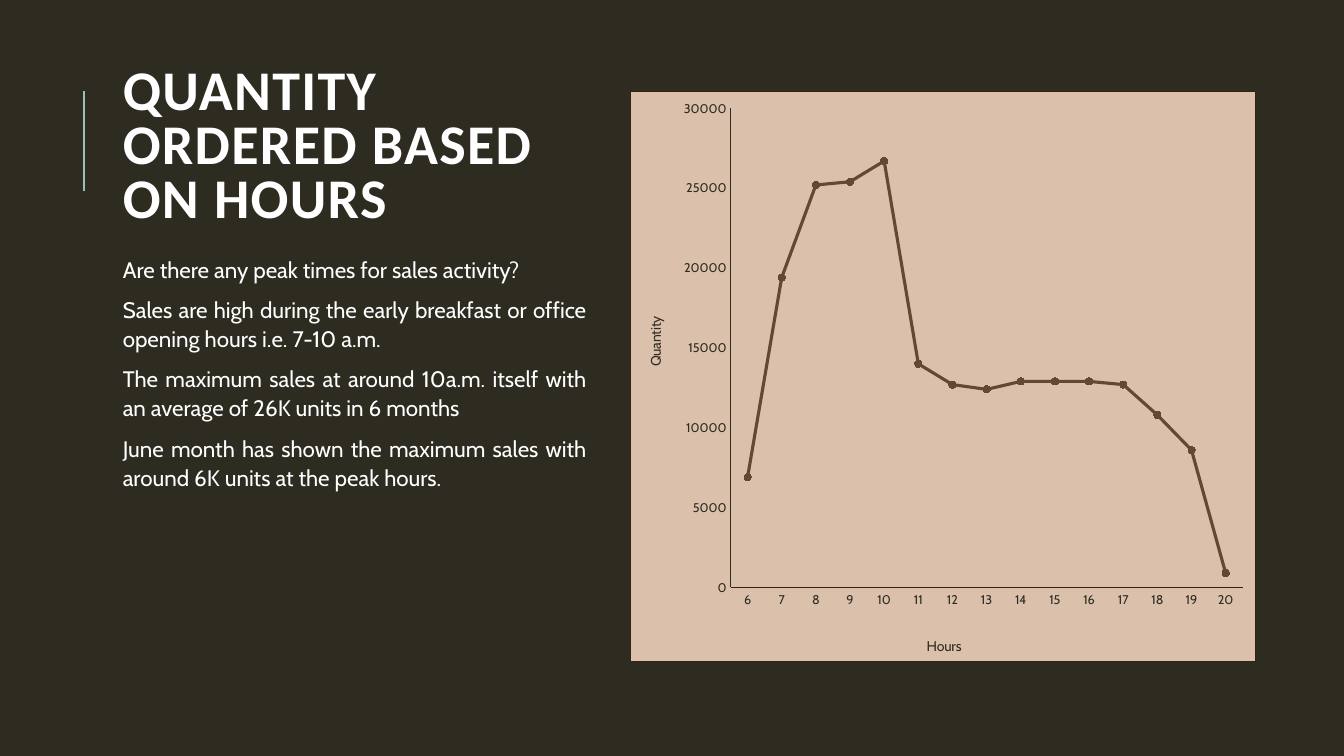
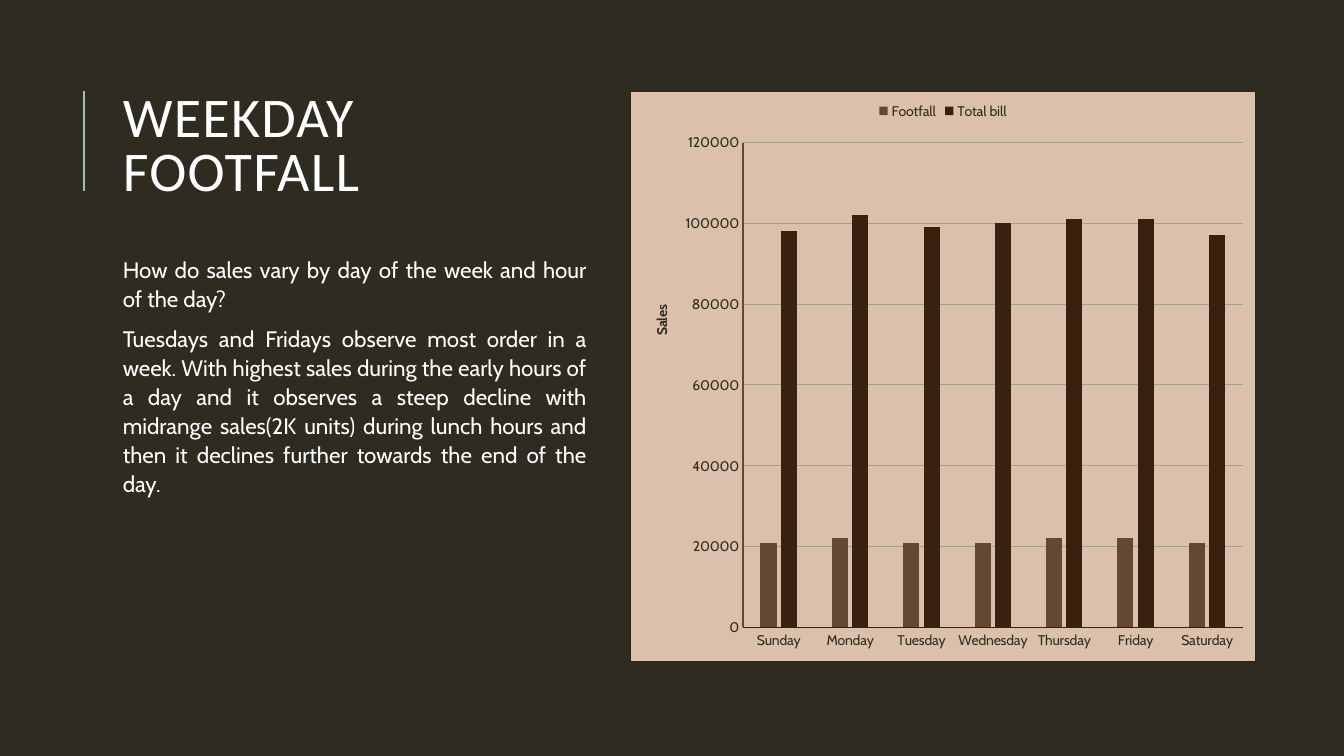
from dataclasses import dataclass

from lxml import etree
from pptx import Presentation
from pptx.chart.data import CategoryChartData
from pptx.dml.color import RGBColor
from pptx.enum.chart import XL_CHART_TYPE, XL_LEGEND_POSITION, XL_MARKER_STYLE, XL_TICK_MARK
from pptx.enum.shapes import MSO_CONNECTOR
from pptx.enum.text import MSO_ANCHOR, PP_ALIGN
from pptx.oxml.ns import qn
from pptx.util import Inches, Pt

LINE, COLUMN = XL_CHART_TYPE.LINE_MARKERS, XL_CHART_TYPE.COLUMN_CLUSTERED
LEGEND_TOP = XL_LEGEND_POSITION.TOP
CIRCLE = XL_MARKER_STYLE.CIRCLE
NO_TICK = XL_TICK_MARK.NONE
STRAIGHT = MSO_CONNECTOR.STRAIGHT
MIDDLE, TOP = MSO_ANCHOR.MIDDLE, MSO_ANCHOR.TOP
JUSTIFY, LEFT = PP_ALIGN.JUSTIFY, PP_ALIGN.LEFT

SLIDE_W, SLIDE_H = Inches(13.333), Inches(7.5)
DARK, WHITE, RULE = "2E2B21", "FFFFFF", "9CBEBD"
PANEL, BROWN, ESPRESSO, GRID = "DBC1AC", "634832", "38220F", "A49F91"
TITLE_FONT, BODY_FONT = "Calibri", "Cabin"


@dataclass
class Box:
    """A region given in percent of the slide's width and height."""
    x: float
    y: float
    w: float
    h: float

    def emu(self):
        """Return left, top, width and height in slide units."""
        return (int(SLIDE_W * self.x / 100), int(SLIDE_H * self.y / 100),
                int(SLIDE_W * self.w / 100), int(SLIDE_H * self.h / 100))


RULE_BOX = Box(6.25, 12, 0, 13.33)
TITLE_BOX = Box(8.4, 6.93, 36, 25.33)
BODY_BOX = Box(8.4, 32.93, 36, 54.8)
CHART_BOX = Box(46.88, 12, 46.56, 75.6)


def rgb(color):
    """Turn a hex string into a colour."""
    return RGBColor.from_string(color)


def style_font(font, size, color, name=BODY_FONT, bold=False):
    """Set the typeface, size, weight and colour of a font."""
    font.name, font.size, font.bold = name, Pt(size), bold
    font.color.rgb = rgb(color)


def style_line(line, color, width):
    """Set a solid line's colour and width."""
    line.color.rgb = rgb(color)
    line.width = Pt(width)


def add_rule(slide, box):
    """Draw the vertical rule beside the title."""
    x, y, w, h = box.emu()
    line = slide.shapes.add_connector(STRAIGHT, x, y + h, x + w, y)
    style_line(line.line, RULE, 1.5)
    etree.SubElement(line._element.spPr, qn("a:effectLst"))


def add_text_box(slide, box, anchor):
    """Add a wrapping text box and return its text frame."""
    tf = slide.shapes.add_textbox(*box.emu()).text_frame
    tf.word_wrap = True
    tf.vertical_anchor = anchor
    return tf


def add_run(p, text, spacing, align):
    """Set a paragraph's layout and give it one run."""
    p.line_spacing, p.alignment = spacing, align
    r = p.add_run()
    r.text = text
    return r


def add_title(slide, box, text, bold):
    """Write the slide title, slightly letterspaced."""
    tf = add_text_box(slide, box, MIDDLE)
    r = add_run(tf.paragraphs[0], text, 0.8, LEFT)
    style_font(r.font, 40, WHITE, TITLE_FONT, bold)
    r.font._element.set("spc", "100")


def add_body(slide, box, paragraphs):
    """Write the justified commentary."""
    tf = add_text_box(slide, box, TOP)
    for i, text in enumerate(paragraphs):
        p = tf.add_paragraph() if i else tf.paragraphs[0]
        style_font(add_run(p, text, 1.08, JUSTIFY).font, 16, WHITE)
        p.space_before = Pt(6 if i else 0)
        p.space_after = Pt(2)


def fill_layout(layout, **shares):
    """Fill a chart layout element with shares of the chart's size."""
    manual = etree.SubElement(layout, qn("c:manualLayout"))
    if "w" in shares:
        etree.SubElement(manual, qn("c:layoutTarget")).set("val", "inner")
    for axis in "xy":
        etree.SubElement(manual, qn(f"c:{axis}Mode")).set("val", "edge")
    for key, share in shares.items():
        etree.SubElement(manual, qn(f"c:{key}")).set("val", str(share))


def set_plot_box(chart, x, y, w, h):
    """Place the inner plot area inside the chart."""
    area = chart._chartSpace.chart.plotArea
    for old in area.findall(qn("c:layout")):
        area.remove(old)
    layout = etree.Element(qn("c:layout"))
    area.insert(0, layout)
    fill_layout(layout, x=x, y=y, w=w, h=h)


def set_panel(chart):
    """Give the chart its filled and outlined background."""
    sp = etree.Element(qn("c:spPr"))
    line = etree.Element(qn("a:ln"), w=str(Pt(0.75)))
    for parent, color in ((sp, PANEL), (line, ESPRESSO)):
        fill = etree.SubElement(parent, qn("a:solidFill"))
        etree.SubElement(fill, qn("a:srgbClr")).set("val", color)
    sp.append(line)
    chart._chartSpace.chart.addnext(sp)


def style_axis(axis, size, color, width):
    """Style an axis without ticks or gridlines."""
    axis.major_tick_mark = axis.minor_tick_mark = NO_TICK
    axis.has_major_gridlines = False
    style_font(axis.tick_labels.font, size, DARK)
    style_line(axis.format.line, color, width)


def scale_axis(axis, top, step):
    """Fix the range of a value axis starting at zero."""
    axis.minimum_scale, axis.maximum_scale, axis.major_unit = 0, top, step


def title_axis(axis, text, x, y, bold=False):
    """Title an axis at a place in the chart."""
    title = axis.axis_title
    r = title.text_frame.paragraphs[0].add_run()
    r.text = text
    style_font(r.font, 10, DARK, bold=bold)
    fill_layout(title._element.find(qn("c:layout")), x=x, y=y)


def add_chart(slide, box, kind, categories, series):
    """Add a chart on its panel and return it."""
    data = CategoryChartData()
    data.categories = categories
    for name, values in series.items():
        data.add_series(name, values)
    chart = slide.shapes.add_chart(kind, *box.emu(), data).chart
    chart.has_title = chart.has_legend = False
    style_font(chart.font, 10, DARK)
    chart.plots[0].vary_by_categories = False
    set_panel(chart)
    return chart


def add_hours_chart(slide, box):
    """Plot the quantity ordered by hour."""
    values = (6900, 19400, 25200, 25400, 26700, 14000, 12700, 12400,
              12900, 12900, 12900, 12700, 10800, 8600, 900)
    hours = [str(hour) for hour in range(6, 21)]
    chart = add_chart(slide, box, LINE, hours, {"Series 1": values})
    set_plot_box(chart, 0.16, 0.03, 0.82, 0.84)
    style_axis(chart.category_axis, 9, ESPRESSO, 1)
    style_axis(chart.value_axis, 9, DARK, 1)
    scale_axis(chart.value_axis, 30000, 5000)
    title_axis(chart.category_axis, "Hours", 0.47, 0.95)
    title_axis(chart.value_axis, "Quantity", 0.02, 0.39)
    s = chart.series[0]
    s.smooth = False
    style_line(s.format.line, BROWN, 2.25)
    s.marker.style, s.marker.size = CIRCLE, 5
    s.marker.format.fill.solid()
    s.marker.format.fill.fore_color.rgb = rgb(BROWN)
    style_line(s.marker.format.line, BROWN, 0.75)


def add_weekday_chart(slide, box):
    """Plot footfall and total bill by weekday."""
    days = ("Sunday", "Monday", "Tuesday", "Wednesday", "Thursday", "Friday", "Saturday")
    chart = add_chart(slide, box, COLUMN, days, {
        "Footfall": (21000, 22000, 21000, 21000, 22000, 22000, 21000),
        "Total bill": (98000, 102000, 99000, 100000, 101000, 101000, 97000),
    })
    set_plot_box(chart, 0.18, 0.09, 0.8, 0.85)
    style_axis(chart.category_axis, 10, ESPRESSO, 0.75)
    style_axis(chart.value_axis, 10, BROWN, 0.75)
    scale_axis(chart.value_axis, 120000, 20000)
    chart.value_axis.has_major_gridlines = True
    style_line(chart.value_axis.major_gridlines.format.line, GRID, 0.75)
    title_axis(chart.value_axis, "Sales", 0.03, 0.37, bold=True)
    chart.has_legend = True
    chart.legend.position = LEGEND_TOP
    chart.legend.include_in_layout = False
    style_font(chart.legend.font, 10, DARK)
    plot = chart.plots[0]
    plot.gap_width, plot.overlap = 219, -27
    for s, color in zip(plot.series, (BROWN, ESPRESSO)):
        s.format.fill.solid()
        s.format.fill.fore_color.rgb = rgb(color)


def add_analysis_slide(prs, title, bold, paragraphs, draw_chart):
    """Build a slide with commentary on the left and a chart on the right."""
    slide = prs.slides.add_slide(prs.slide_layouts[6])
    add_rule(slide, RULE_BOX)
    add_title(slide, TITLE_BOX, title, bold)
    add_body(slide, BODY_BOX, paragraphs)
    draw_chart(slide, CHART_BOX)


def main():
    """Build and save the presentation."""
    prs = Presentation()
    prs.slide_width, prs.slide_height = SLIDE_W, SLIDE_H
    background = prs.slide_master.background.fill
    background.solid()
    background.fore_color.rgb = rgb(DARK)
    add_analysis_slide(prs, "QUANTITY ORDERED BASED ON HOURS", True, (
        "Are there any peak times for sales activity?",
        "Sales are high during the early breakfast or office opening hours i.e. 7-10 a.m.",
        "The maximum sales at around 10a.m. itself with an average of 26K units in 6 months",
        "June month has shown the maximum sales with around 6K units at the peak hours.",
    ), add_hours_chart)
    add_analysis_slide(prs, "WEEKDAY FOOTFALL", False, (
        "How do sales vary by day of the week and hour of the day?",
        "Tuesdays and Fridays observe most order in a week. With highest sales during the "
        "early hours of a day and it observes a steep decline with midrange sales(2K units) "
        "during lunch hours and then it declines further towards the end of the day.",
    ), add_weekday_chart)
    prs.save("out.pptx")


if __name__ == "__main__":
    main()
